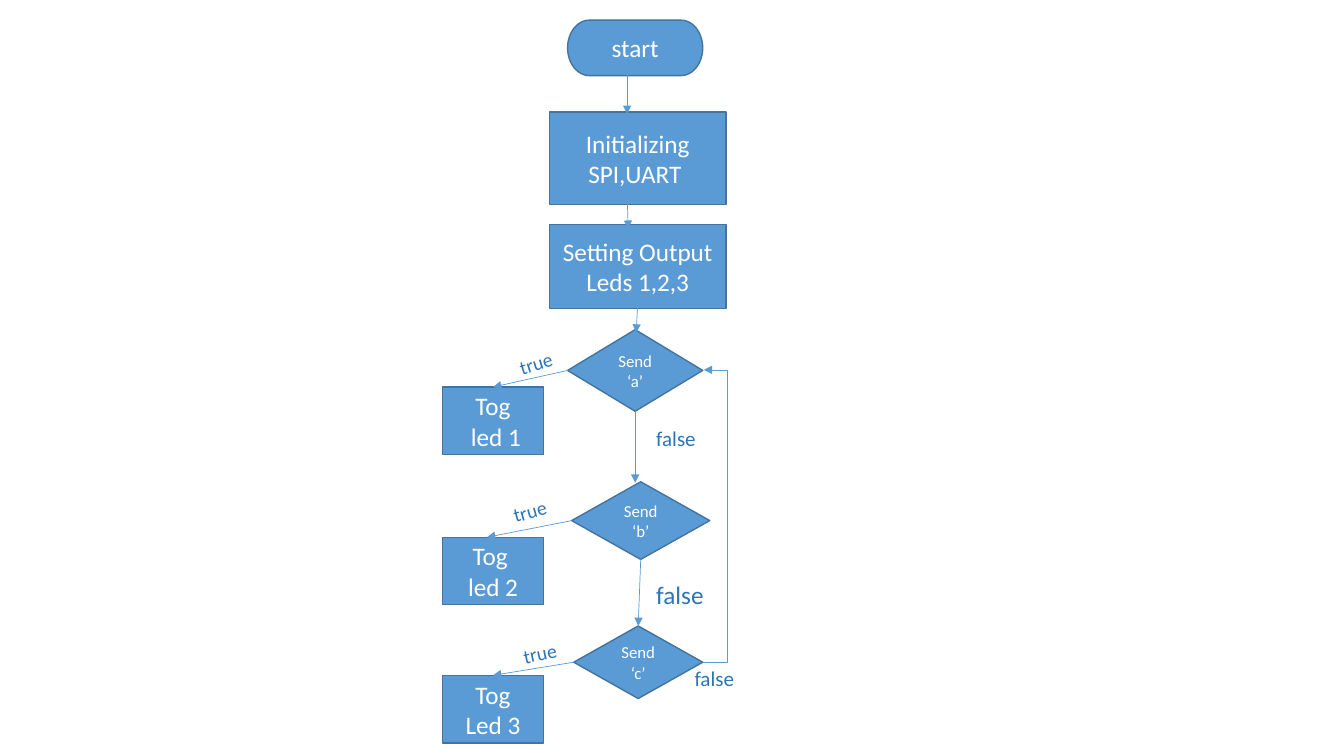
from dataclasses import dataclass

import pptx
import pptx.dml.color
import pptx.enum.shapes
import pptx.enum.text
import pptx.oxml.ns
import pptx.util
from lxml import etree

Inches = pptx.util.Inches
Pt = pptx.util.Pt
SHAPE = pptx.enum.shapes.MSO_SHAPE
CONNECTOR = pptx.enum.shapes.MSO_CONNECTOR
TOP, LEFT, BOTTOM = 0, 1, 2  # connection sites


@dataclass(frozen=True)
class Theme:
    font: str = "Calibri"
    fill: str = "5B9BD5"
    outline: str = "43739E"
    node_text: str = "FFFFFF"
    label_text: str = "2E75B6"
    step_size: int = 18
    decision_size: int = 12
    true_size: int = 14
    false_size: int = 15
    outline_width: float = 1
    arrow_width: float = 0.5


THEME = Theme()


def rgb(value):
    return pptx.dml.color.RGBColor.from_string(value)


def style_font(paragraph, size, colour):
    paragraph.font.name = THEME.font
    paragraph.font.size = Pt(size)
    paragraph.font.color.rgb = rgb(colour)


def add_node(slide, kind, box, text, size=THEME.step_size):
    """Add a flowchart symbol; each line of text is a paragraph."""
    node = slide.shapes.add_shape(kind, *map(Inches, box))
    node.shadow.inherit = False
    node.fill.solid()
    node.fill.fore_color.rgb = rgb(THEME.fill)
    node.line.color.rgb = rgb(THEME.outline)
    node.line.width = Pt(THEME.outline_width)
    frame = node.text_frame
    frame.word_wrap = True
    frame.vertical_anchor = pptx.enum.text.MSO_ANCHOR.MIDDLE
    frame.text = text
    for paragraph in frame.paragraphs:
        paragraph.alignment = pptx.enum.text.PP_ALIGN.CENTER
        style_font(paragraph, size, THEME.node_text)
    return node


def add_label(slide, box, text, size, rotation=0):
    label = slide.shapes.add_textbox(*map(Inches, box))
    label.rotation = rotation
    frame = label.text_frame
    frame.word_wrap = False
    frame.auto_size = pptx.enum.text.MSO_AUTO_SIZE.SHAPE_TO_FIT_TEXT
    frame.text = text
    style_font(frame.paragraphs[0], size, THEME.label_text)


def add_arrow(slide, start, end, kind=CONNECTOR.STRAIGHT, ends=("tailEnd",)):
    arrow = slide.shapes.add_connector(kind, *map(Inches, start + end))
    arrow.line.color.rgb = rgb(THEME.fill)
    arrow.line.width = Pt(THEME.arrow_width)
    qn = pptx.oxml.ns.qn
    properties = arrow.element.spPr
    outline = properties.find(qn("a:ln"))
    for end_name in ends:
        etree.SubElement(outline, qn("a:" + end_name), type="triangle")
    etree.SubElement(properties, qn("a:effectLst"))
    return arrow


def add_loop_back(slide, start, end, turn_x):
    """Add an elbow arrow whose vertical run lies at turn_x."""
    arrow = add_arrow(slide, start, end, CONNECTOR.ELBOW)
    qn = pptx.oxml.ns.qn
    geometry = arrow.element.spPr.find(qn("a:prstGeom"))
    guides = geometry.find(qn("a:avLst"))
    if guides is None:
        guides = etree.SubElement(geometry, qn("a:avLst"))
    share = round((turn_x - start[0]) / (end[0] - start[0]) * 100000)
    etree.SubElement(guides, qn("a:gd"), name="adj1", fmla=f"val {share}")


def main():
    deck = pptx.Presentation()
    deck.slide_width, deck.slide_height = Inches(13.33), Inches(7.5)
    slide = deck.slides.add_slide(deck.slide_layouts[6])

    # Start and setup steps
    add_node(slide, SHAPE.FLOWCHART_TERMINATOR, (5.63, 0.2, 1.34, 0.55), "start")
    for top, height, text in (
        (1.11, 0.92, "Initializing SPI,UART "),
        (2.23, 0.83, "Setting Output Leds 1,2,3"),
    ):
        add_node(slide, SHAPE.FLOWCHART_PROCESS, (5.45, top, 1.75, height), text)

    # Decisions, each with the LED it toggles
    decisions, toggles = [], []
    for box, question, toggle_top, action in (
        ((5.63, 3.27, 1.34, 0.81), "Send ‘a’", 3.84, "Tog\n led 1"),
        ((5.67, 4.78, 1.37, 0.77), "Send ‘b’", 5.33, "Tog \nled 2"),
        ((5.69, 6.21, 1.28, 0.72), "Send\n‘c’", 6.7, "Tog\nLed 3"),
    ):
        decisions.append(add_node(slide, SHAPE.FLOWCHART_DECISION, box, question,
                                  THEME.decision_size))
        toggles.append(add_node(slide, SHAPE.FLOWCHART_PROCESS,
                                (4.39, toggle_top, 1, 0.67), action))
    send_a, send_b, send_c = decisions
    toggle_1, _, toggle_3 = toggles

    # Arrows down the setup steps
    add_arrow(slide, (6.22, 0.73), (6.22, 1.13))
    add_arrow(slide, (6.22, 1.9), (6.23, 2.27), ends=("headEnd", "tailEnd"))
    add_arrow(slide, (6.33, 2.91), (6.31, 3.3))

    # True branches
    true_a = add_arrow(slide, (5.63, 3.68), (4.89, 3.84))
    true_b = add_arrow(slide, (5.67, 5.16), (4.83, 5.33))
    true_c = add_arrow(slide, (5.69, 6.57), (4.89, 6.7))
    for branch, decision in zip((true_a, true_b, true_c), decisions):
        branch.begin_connect(decision, LEFT)
    true_a.end_connect(toggle_1, TOP)
    true_c.end_connect(toggle_3, TOP)
    for box, rotation in (
        ((5.05, 3.43, 0.54, 0.34), 342.8),
        ((4.99, 4.9, 0.54, 0.34), 344.5),
        ((5.09, 6.31, 0.56, 0.34), 347.7),
    ):
        add_label(slide, box, "true", THEME.true_size, rotation)

    # False branches
    false_a = add_arrow(slide, (6.3, 4.08), (6.3, 4.79))
    false_a.begin_connect(send_a, BOTTOM)
    false_b = add_arrow(slide, (6.35, 5.55), (6.33, 6.21))
    false_b.begin_connect(send_b, BOTTOM)
    false_b.end_connect(send_c, TOP)
    add_loop_back(slide, (6.97, 6.57), (6.98, 3.67), 7.22)
    for box, size in (
        ((6.41, 4.17, 0.6, 0.35), THEME.false_size),
        ((6.41, 5.7, 0.68, 0.71), THEME.step_size),
        ((6.79, 6.55, 0.6, 0.35), THEME.false_size),
    ):
        add_label(slide, box, "false", size)

    deck.save("out.pptx")


if __name__ == "__main__":
    main()
